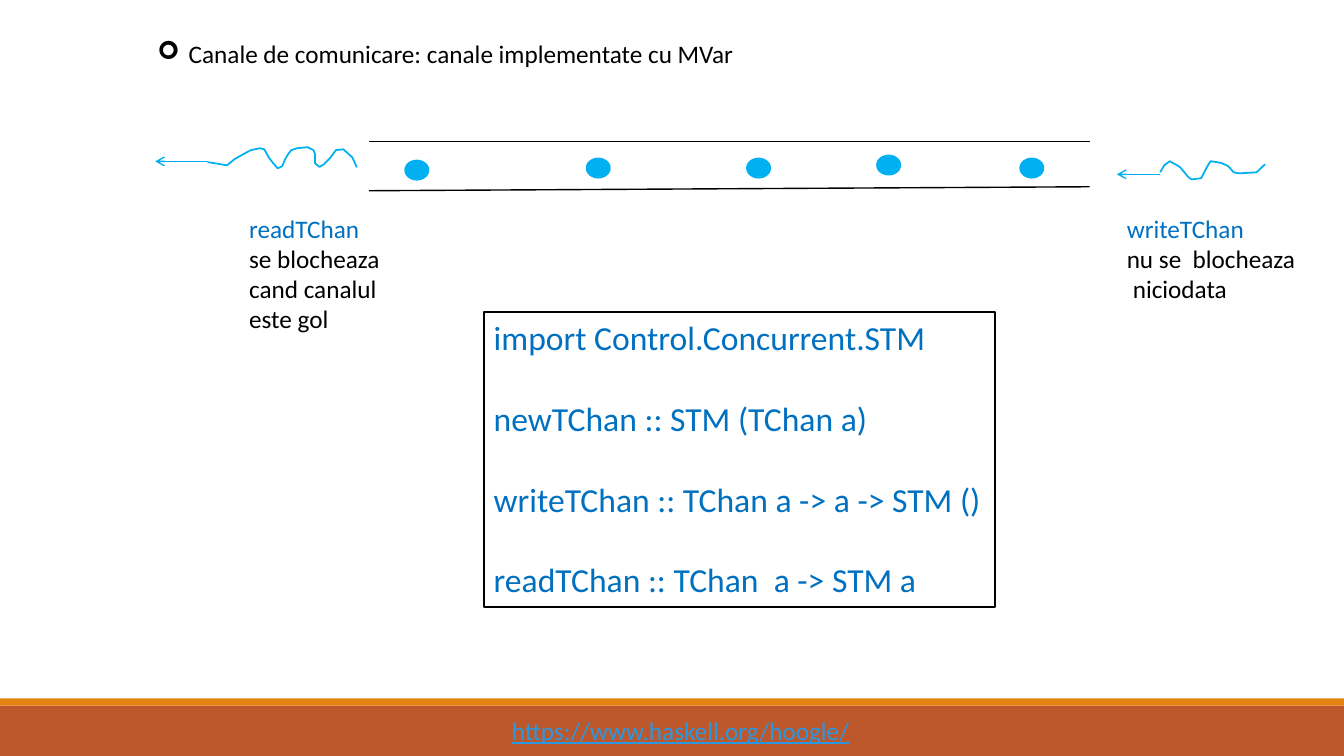
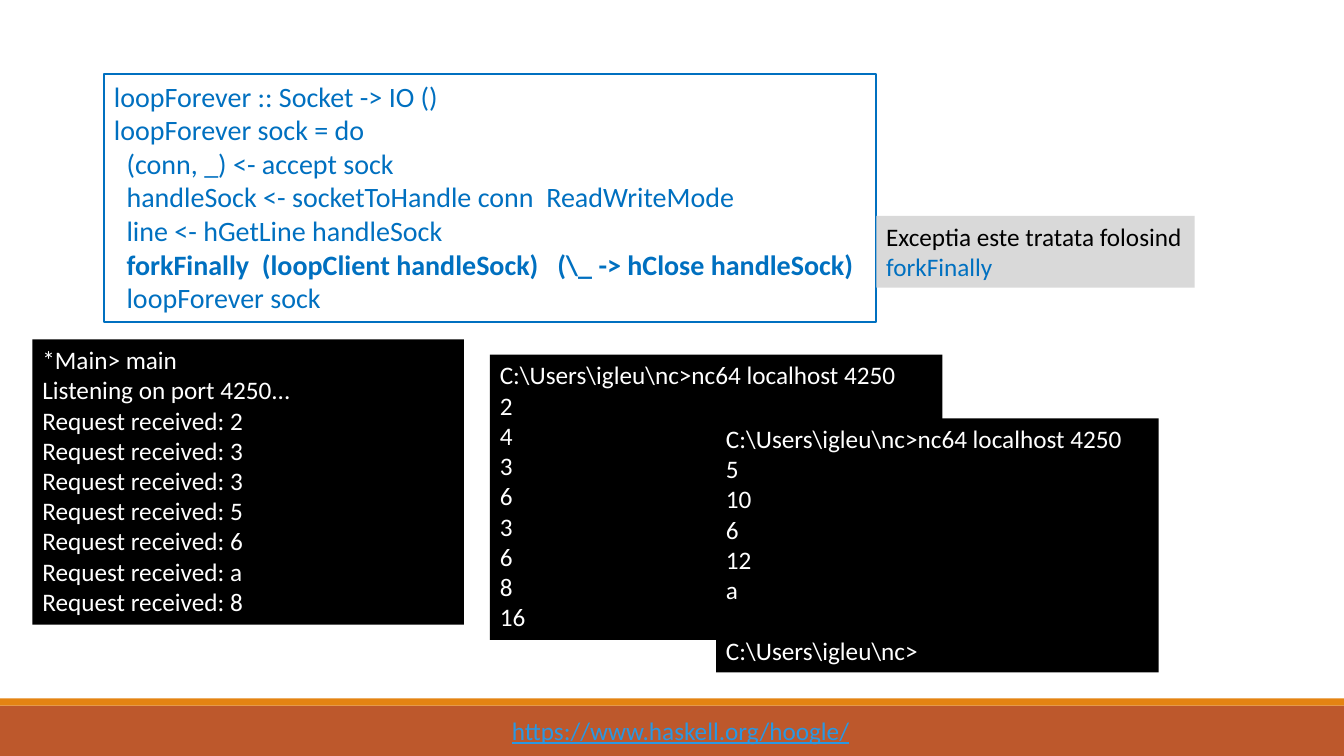
from pptx import Presentation
from pptx.dml.color import RGBColor
from pptx.enum.shapes import MSO_CONNECTOR as Conn, MSO_SHAPE as Kind
from pptx.oxml.ns import qn
from pptx.util import Inches, Pt
from lxml.etree import SubElement as Sub

BLACK = RGBColor(0x00, 0x00, 0x00)
WHITE = RGBColor(0xFF, 0xFF, 0xFF)
BLUE = RGBColor(0x00, 0x70, 0xC0)
SKY = RGBColor(0x00, 0xB0, 0xF0)
LINK = RGBColor(0x29, 0x98, 0xE3)
RUST = RGBColor(0xBD, 0x58, 0x2C)
AMBER = RGBColor(0xE4, 0x83, 0x12)
GREY = RGBColor(0xD9, 0xD9, 0xD9)
FONT = "Calibri"
PAGE = (0, 0, Inches(13.33), Inches(7.5))

READ = [(100, 95), (97, 48), (91, 10), (86, 14), (82, 52), (78, 81), (75, 93),
        (72, 76), (72, 33), (71, 14), (67, 0), (60, 5), (56, 14), (54, 33),
        (52, 57), (50, 90), (47, 100), (44, 76), (41, 48), (38, 10), (35, 5),
        (29, 14), (24, 33), (18, 57), (13, 86), (5, 76), (0, 71)]
WRITE = [(0, 61), (4, 22), (9, 0), (16, 22), (19, 33), (27, 89), (30, 100),
         (39, 94), (42, 61), (45, 28), (48, 0), (54, 5), (59, 11), (65, 28),
         (70, 61), (75, 67), (92, 61), (97, 33), (100, 17)]
BEADS = [(5.03, 38.8), (30.2, 34.7), (52.45, 34.7), (70.49, 28.6), (90.35, 34.7)]


def spot(box, x, y):
    """Return the point at percent shares of a box."""
    left, top, wide, high = box
    return int(left + wide * x / 100), int(top + high * y / 100)


def part(box, x, y, wide, high):
    """Return the inner box at percent shares of a box."""
    return (*spot(box, x, y), int(box[2] * wide / 100), int(box[3] * high / 100))


def write(slide, box, lines, size=18, color=BLACK, fill=None, edge=None,
          gap=0, under=None):
    """Add a text box whose lines are strings or lists of (text, colour, bold)."""
    shape = slide.shapes.add_textbox(*box)
    if fill is not None:
        shape.fill.solid()
        shape.fill.fore_color.rgb = fill
    if edge is not None:
        shape.line.color.rgb = edge
        shape.line.width = Pt(1.25)
    frame = shape.text_frame
    frame.word_wrap = True
    for num, line in enumerate(lines):
        para = frame.add_paragraph() if num else frame.paragraphs[0]
        if num and gap:
            para.space_before = Pt(gap)
        runs = [(line, color, None)] if isinstance(line, str) else line
        for text, tint, bold in runs:
            run = para.add_run()
            run.text = text
            font = run.font
            font.name, font.size, font.bold = FONT, Pt(size), bold
            font.underline = under
            font.color.rgb = tint
    return frame.paragraphs


def block(slide, kind, box, fill, edge=None):
    """Add a flat preset shape."""
    shape = slide.shapes.add_shape(kind, *box)
    shape.shadow.inherit = False
    shape.fill.solid()
    shape.fill.fore_color.rgb = fill
    if edge is None:
        shape.line.fill.background()
    else:
        shape.line.color.rgb = edge
        shape.line.width = Pt(1.25)


def rule(slide, start, end, color, arrow=False):
    """Add a straight line, with an arrowhead at its end if asked."""
    line = slide.shapes.add_connector(Conn.STRAIGHT, *start, *end)
    line.line.color.rgb = color
    line.line.width = Pt(1)
    props = line._element.spPr
    if arrow:
        Sub(props.find(qn("a:ln")), qn("a:tailEnd"), type="arrow")
    Sub(props, qn("a:effectLst"))


def stream(slide, box, split, level, points):
    """Draw a left arrow that continues as a wave from the split."""
    rule(slide, spot(box, split, level), spot(box, 0, level), SKY, arrow=True)
    area = part(box, split, 0, 100 - split, 100)
    first, *rest = [spot(area, *point) for point in points]
    pen = slide.shapes.build_freeform(*first)
    pen.add_line_segments(rest, close=False)
    wave = pen.convert_to_shape()
    wave.shadow.inherit = False
    wave.fill.background()
    wave.line.color.rgb = SKY
    wave.line.width = Pt(1.25)


def pipe(slide, box):
    """Draw the channel body, its walls and the beads inside."""
    block(slide, Kind.RECTANGLE, part(box, 0, 0, 95.1, 77.55), WHITE)
    rule(slide, spot(box, 0, 0), spot(box, 100, 0), BLACK)
    rule(slide, spot(box, 0, 100), spot(box, 100, 92), BLACK)
    for x, y in BEADS:
        block(slide, Kind.OVAL, part(box, x, y, 3.22, 38.8), SKY, SKY)


def foot(slide, box):
    """Draw the footer band with its stripe and address."""
    block(slide, Kind.RECTANGLE, part(box, 0, 12.28, 100, 87.72), RUST)
    block(slide, Kind.RECTANGLE, part(box, 0, 0, 100, 12.28), AMBER)
    write(slide, part(box, 37.35, 20.4, 26.93, 70.18),
          ["https://www.haskell.org/hoogle/"], color=LINK, under=True)


def page(deck):
    """Add a blank slide with the footer."""
    slide = deck.slides.add_slide(deck.slide_layouts[6])
    foot(slide, part(PAGE, 0, 92.4, 100, 7.6))
    return slide


def indent(para, left, first=0):
    """Set the left and first-line indents of a paragraph."""
    props = para._p.get_or_add_pPr()
    props.set("marL", str(Inches(left)))
    props.set("indent", str(Inches(first)))
    return props


def channel(slide, box):
    """Fill the slide on channels."""
    head = write(slide, part(box, 10.98, 4.4, 44.93, 5.33),
                 ["Canale de comunicare: canale implementate cu MVar"])
    props = indent(head[0], 0.31, -0.31)
    Sub(props, qn("a:buFont"), typeface="Wingdings")
    Sub(props, qn("a:buChar"), char="➢")
    pipe(slide, part(box, 27.45, 18.7, 53.63, 6.53))
    stream(slide, part(box, 11.55, 19.47, 15, 2.8), 26, 67, READ)
    stream(slide, part(box, 83.1, 21.33, 11.03, 2.4), 29.25, 72, WRITE)
    write(slide, part(box, 36, 41.27, 38.03, 39.07), [
        "import Control.Concurrent.STM",
        "newTChan :: STM (TChan a)",
        "writeTChan :: TChan a -> a -> STM ()",
        "readTChan :: TChan  a -> STM a",
    ], size=24, color=BLUE, fill=WHITE, edge=BLACK, gap=28.9)
    write(slide, part(box, 17.8, 27.53, 11.4, 17.47),
          [[("readTChan", BLUE, None)], "se blocheaza cand canalul este gol"])
    note = write(slide, part(box, 83.1, 27.53, 14.18, 17.47),
                 [[("writeTChan", BLUE, None)], "nu se  blocheaza", "niciodata"])
    indent(note[2], 0.06)


def shell(slide, box, lines):
    """Draw a terminal window."""
    return write(slide, box, lines, color=WHITE, fill=BLACK)


def server(slide, box):
    """Fill the slide on the server loop and its output."""
    call = r"C:\Users\igleu\nc>"
    start = call + "nc64 localhost 4250"
    shell(slide, part(box, 36.45, 46.93, 33.68, 37.73), [start, *"2436368", "16"])
    last = shell(slide, part(box, 53.28, 55.33, 32.93, 33.6),
                 [start, "5", "10", "6", "12", "a", call])[-1]
    last.space_before = Pt(21.6)
    shell(slide, part(box, 2.42, 44.9, 32.1, 37.73),
          ["*Main> main", "Listening on port 4250...",
           *(f"Request received: {item}" for item in "23356a8")])
    write(slide, part(box, 7.74, 9.8, 57.45, 32.8), [
        "loopForever :: Socket -> IO ()",
        "loopForever sock = do",
        "  (conn, _) <- accept sock",
        "  handleSock <- socketToHandle conn  ReadWriteMode",
        "  line <- hGetLine handleSock",
        [("  ", BLUE, None),
         (r"forkFinally  (loopClient handleSock)   (\_ -> hClose handleSock)",
          BLUE, True)],
        "  loopForever sock",
    ], size=20, color=BLUE, fill=WHITE, edge=BLUE)
    write(slide, part(box, 65.2, 28.57, 23.7, 9.47),
          ["Exceptia este tratata folosind", [("forkFinally", BLUE, None)]],
          fill=GREY)


def main():
    """Build and save the deck."""
    deck = Presentation()
    deck.slide_width, deck.slide_height = PAGE[2:]
    for fill in (channel, server):
        fill(page(deck), PAGE)
    deck.save("out.pptx")


if __name__ == "__main__":
    main()
